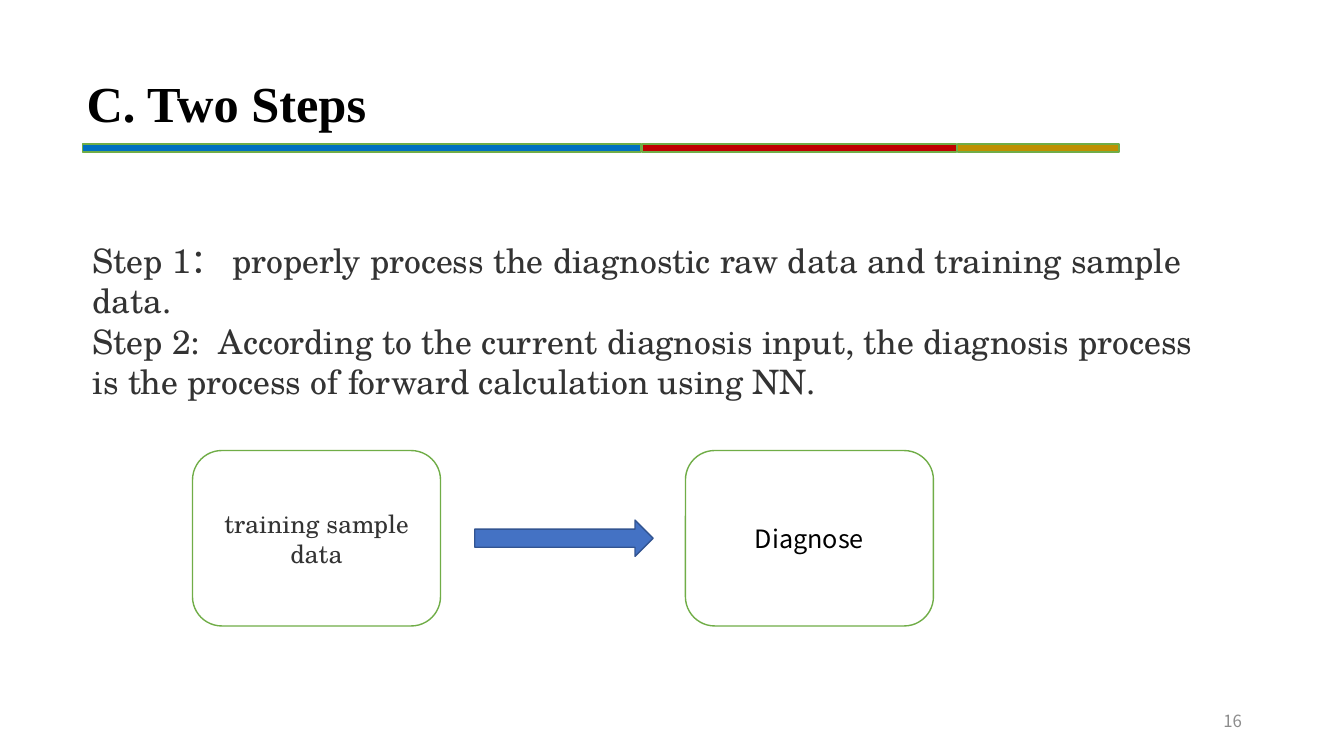
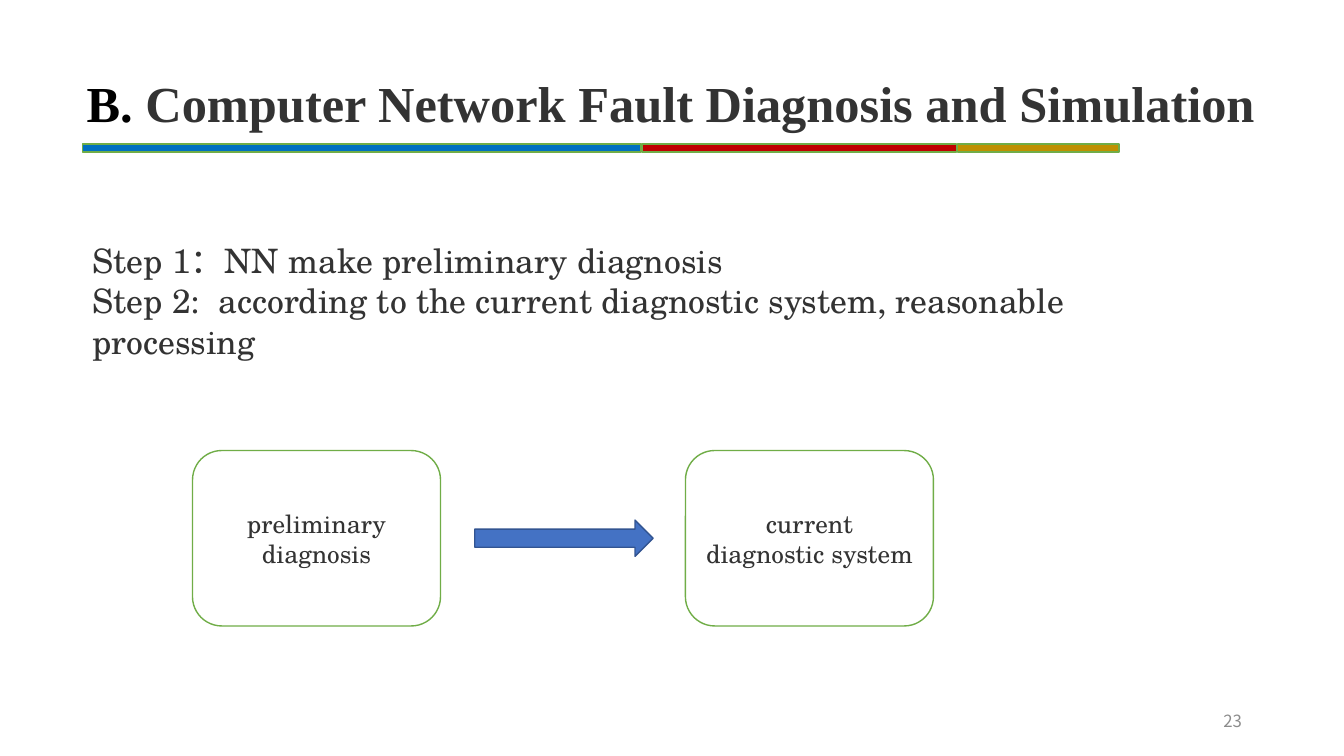
"""Builds two slides that each show a two-step diagnosis process."""
from lxml import etree
from pptx import Presentation
from pptx import util as u
from pptx.dml.color import RGBColor
from pptx.enum import shapes, text
from pptx.oxml.ns import qn

SERIF, TITLE, SANS = "TeX Gyre Schola", "Times New Roman", "Noto Sans CJK SC"
BLACK, DARK, GREY, WHITE = "000000", "333333", "8C8C8C", "FFFFFF"
GREEN, ARROW_FILL, ARROW_EDGE = "70AD47", "4472C4", "325491"
LEFT = 9.84
STEP_TOP, STEP_WIDTH, STEP_HEIGHT = 53.64, 29.52, 20.88
BANDS = [(LEFT, 66.48, "0070C0"), (76.44, 37.44, "C00000"), (114, 19.2, "BF9000")]
ALIGN, ANCHOR = text.PP_ALIGN, text.MSO_ANCHOR
SHAPE = shapes.MSO_SHAPE

deck = Presentation()
deck.slide_width, deck.slide_height = u.Inches(13.33), u.Inches(7.5)
column, row = deck.slide_width / 160, deck.slide_height / 90


def add(slide, cells, kind=None, fill=None, edge=None):
    """Place a preset shape, or a text box when no kind is given."""
    x, y, width, height = cells
    box = [int(n) for n in (x * column, y * row, width * column, height * row)]
    if kind is None:
        return slide.shapes.add_textbox(*box)
    shape = slide.shapes.add_shape(kind, *box)
    shape.shadow.inherit = False
    shape.fill.solid()
    shape.fill.fore_color.rgb = RGBColor.from_string(fill)
    shape.line.color.rgb = RGBColor.from_string(edge)
    shape.line.width = u.Pt(1)
    return shape


def write(shape, lines, font, size, align=ALIGN.LEFT, anchor=ANCHOR.TOP, bold=False):
    """Fill a shape with lines, each a list of (words, colour) pieces."""
    frame = shape.text_frame
    frame.word_wrap = True
    frame.vertical_anchor = anchor
    for index, pieces in enumerate(lines):
        paragraph = frame.add_paragraph() if index else frame.paragraphs[0]
        paragraph.alignment = align
        for words, colour in pieces:
            run = paragraph.add_run()
            run.text = words
            run.font.name, run.font.size, run.font.bold = font, u.Pt(size), bold
            run.font.color.rgb = RGBColor.from_string(colour)
            etree.SubElement(run.font._element, qn("a:ea")).set("typeface", SANS)


pages = [
    {
        "number": "16",
        "title": [("C. Two Steps", BLACK)],
        "body": [
            "Step 1： properly process the diagnostic raw data and training sample data.",
            "Step 2:  According to the current diagnosis input, the diagnosis process "
            "is the process of forward calculation using NN.",
        ],
        "steps": [("training sample data", SERIF, DARK), ("Diagnose", SANS, BLACK)],
    },
    {
        "number": "23",
        "title": [("B. ", BLACK), ("Computer Network Fault Diagnosis and Simulation", DARK)],
        "body": [
            "Step 1：NN make preliminary diagnosis",
            "Step 2:  according to the current diagnostic system, reasonable processing",
        ],
        "steps": [("preliminary diagnosis", SERIF, DARK),
                  ("current diagnostic system", SERIF, DARK)],
    },
]

for page in pages:
    slide = deck.slides.add_slide(deck.slide_layouts[6])
    for x, width, colour in BANDS:
        add(slide, (x, 17.16, width, 0.96), SHAPE.RECTANGLE, colour, GREEN)

    number = add(slide, (113.04, 83.4, 36, 4.8))
    write(number, [[(page["number"], GREY)]], SANS, 12, ALIGN.RIGHT, ANCHOR.MIDDLE)
    title = add(slide, (9.12, 8.04, 146.16, 8.52))
    write(title, [page["title"]], TITLE, 36, bold=True)
    body = add(slide, (LEFT, 27.96, 136.2, 15.72))
    write(body, [[(line, DARK)] for line in page["body"]], SERIF, 24)

    for x, (words, font, colour) in zip((22.92, 81.6), page["steps"]):
        step = add(slide, (x, STEP_TOP, STEP_WIDTH, STEP_HEIGHT),
                   SHAPE.ROUNDED_RECTANGLE, WHITE, GREEN)
        write(step, [[(words, colour)]], font, 18, ALIGN.CENTER, ANCHOR.MIDDLE)
    add(slide, (56.52, 61.92, 21.24, 4.32), SHAPE.RIGHT_ARROW, ARROW_FILL, ARROW_EDGE)

deck.save("out.pptx")
